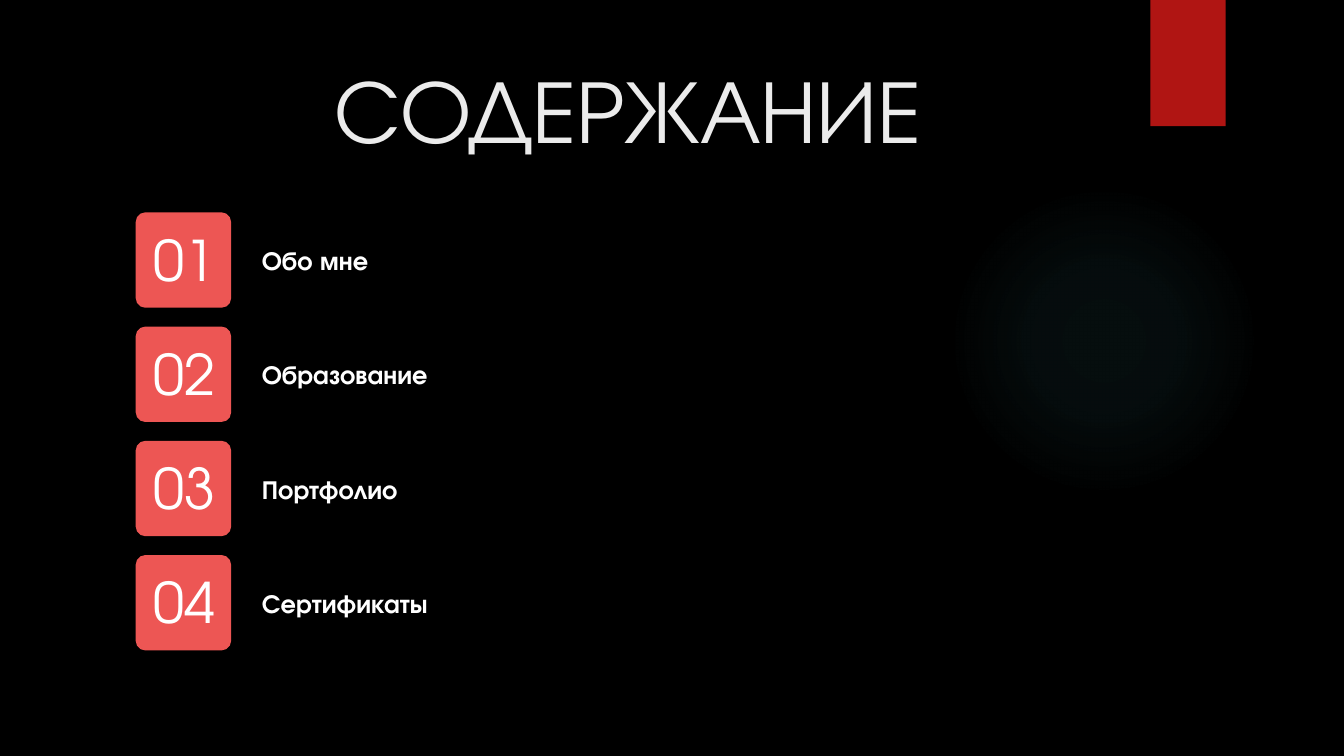
"""Build a dark contents slide with four numbered sections."""
from lxml.etree import SubElement
from pptx import Presentation
from pptx.dml.color import RGBColor
from pptx.enum.shapes import MSO_SHAPE
from pptx.enum.text import MSO_ANCHOR, PP_ALIGN
from pptx.oxml import parse_xml
from pptx.oxml.ns import nsdecls, qn
from pptx.util import Inches, Pt

COLORS = {
    "background": "000000",
    "glow": "50B9C1",
    "ribbon": "B01513",
    "tile": "ED5654",
    "title": "EBEBEB",
    "text": "FFFFFF",
}
FONT = "TeX Gyre Adventor"
SECTIONS = [("Обо мне", 1.3), ("Образование", 1.57), ("Портфолио", 1.6), ("Сертификаты", 1.72)]
GLOW_STOPS = [(0, 7), (36, 6), (69, 0)]
TOP, PITCH, TILE = 1.58, 0.85, 0.71


def add_shape(kind, box, color):
    sp = s.shapes.add_shape(kind, *[Inches(v) for v in box])
    sp.shadow.inherit = False
    sp.fill.solid()
    sp.fill.fore_color.rgb = RGBColor.from_string(COLORS[color])
    sp.line.fill.background()
    return sp


def add_text(text, box, size, color="text", bold=False, align=PP_ALIGN.LEFT, anchor=MSO_ANCHOR.MIDDLE, inset=0.1):
    tf = s.shapes.add_textbox(*[Inches(v) for v in box]).text_frame
    frame = {
        "word_wrap": True,
        "vertical_anchor": anchor,
        "margin_left": Inches(inset),
        "margin_right": Inches(inset),
        "margin_top": Inches(0.1),
        "margin_bottom": Inches(0.1),
    }
    for name, value in frame.items():
        setattr(tf, name, value)
    p = tf.paragraphs[0]
    p.alignment = align
    r = p.add_run()
    r.text = text
    for name, value in {"name": FONT, "size": Pt(size), "bold": bold}.items():
        setattr(r.font, name, value)
    r.font.color.rgb = RGBColor.from_string(COLORS[color])


prs = Presentation()
prs.slide_width = Inches(10)
prs.slide_height = Inches(10) * 9 // 16
s = prs.slides.add_slide(prs.slide_layouts[6])
s.background.fill.solid()
s.background.fill.fore_color.rgb = RGBColor.from_string(COLORS["background"])

glow = add_shape(MSO_SHAPE.OVAL, (7.06, 1.38, 2.31, 2.31), "glow")
stops = "".join(
    f'<a:gs pos="{pos * 1000}"><a:srgbClr val="{COLORS["glow"]}">'
    f'<a:alpha val="{alpha * 1000}"/></a:srgbClr></a:gs>'
    for pos, alpha in GLOW_STOPS
)
grad = parse_xml(
    f'<a:gradFill {nsdecls("a")}><a:gsLst>{stops}</a:gsLst><a:path path="circle">'
    '<a:fillToRect l="50000" t="50000" r="50000" b="50000"/></a:path></a:gradFill>'
)
solid = glow.element.spPr.find(qn("a:solidFill"))
solid.getparent().replace(solid, grad)

ribbon = add_shape(MSO_SHAPE.RECTANGLE, (8.56, 0, 0.56, 0.94), "ribbon")
effects = ribbon.element.spPr.find(qn("a:effectLst"))
shadow = SubElement(effects, qn("a:outerShdw"), blurRad=str(Pt(3)), dist=str(Pt(2)), dir="5400000")
black = SubElement(shadow, qn("a:srgbClr"), val=COLORS["background"])
SubElement(black, qn("a:alpha"), val="45000")

add_text("СОДЕРЖАНИЕ", (2.39, -0.16, 5.22, 1.92), 48, "title")

for i, (label, width) in enumerate(SECTIONS):
    y = TOP + i * PITCH
    tile = add_shape(MSO_SHAPE.ROUNDED_RECTANGLE, (1.01, y, TILE, TILE), "tile")
    tile.adjustments[0] = 0.1
    add_text(f"{i + 1:02}", (1.07, y + 0.13, 0.6, 0.43), 30, align=PP_ALIGN.CENTER, inset=0)
    add_text(label, (1.85, y + 0.14, width, 0.43), 14, bold=True, anchor=MSO_ANCHOR.TOP)

prs.save("out.pptx")
